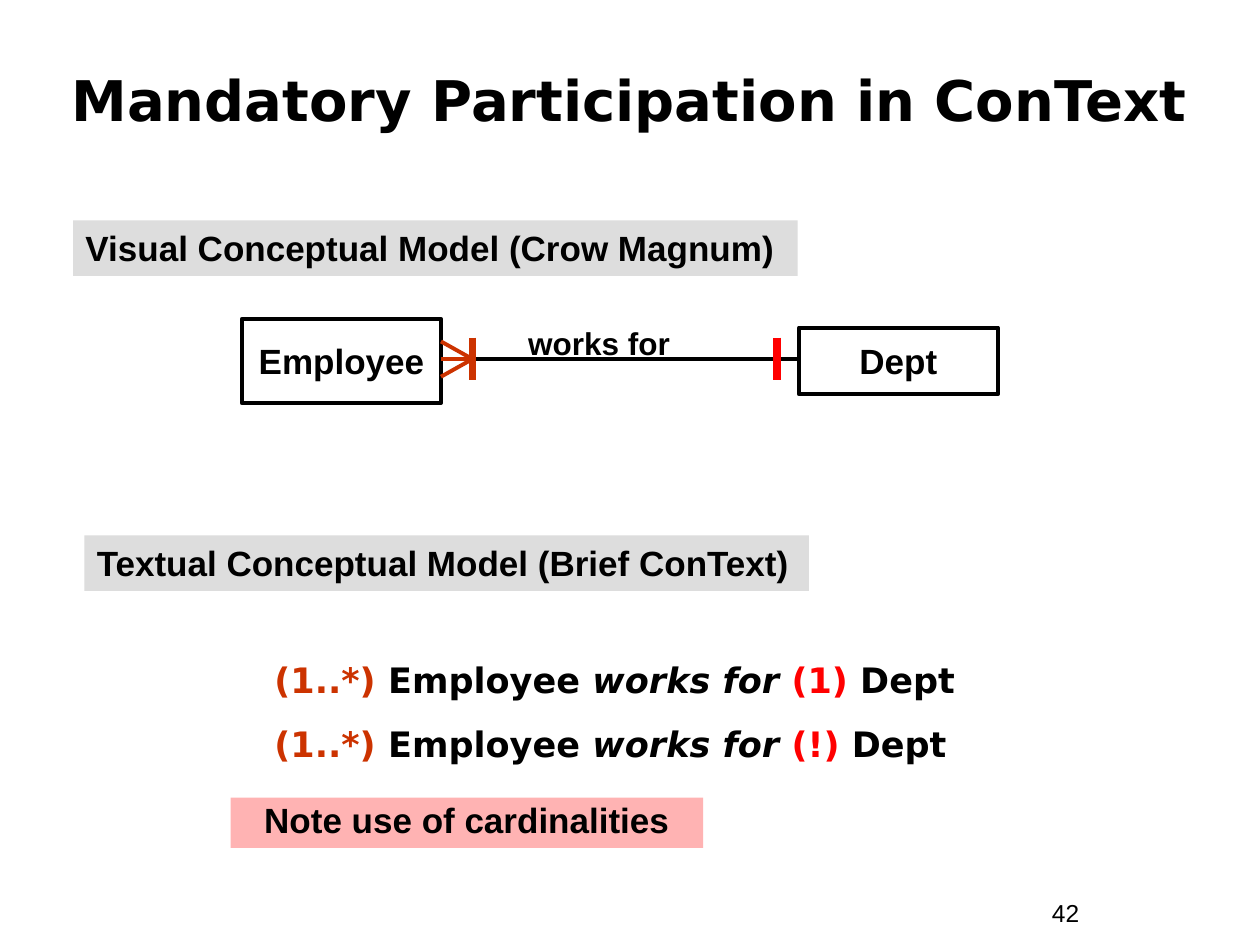
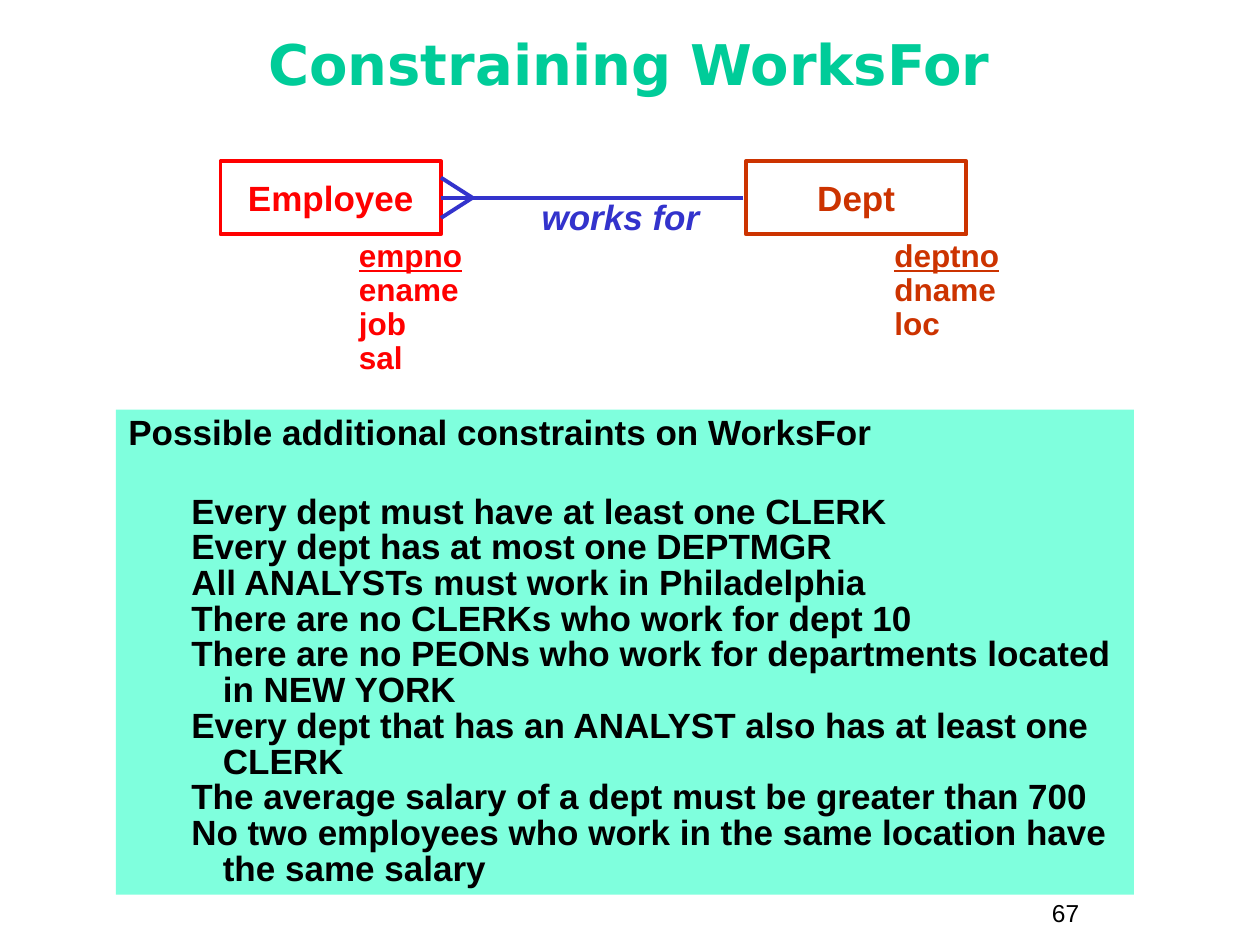
from lxml import etree
from pptx import Presentation
from pptx.dml.color import RGBColor
from pptx.enum.shapes import MSO_CONNECTOR, MSO_SHAPE
from pptx.enum.text import MSO_ANCHOR, PP_ALIGN
from pptx.oxml.ns import qn
from pptx.util import Inches, Pt

RECTANGLE = MSO_SHAPE.RECTANGLE
STRAIGHT = MSO_CONNECTOR.STRAIGHT
TOP, MIDDLE = MSO_ANCHOR.TOP, MSO_ANCHOR.MIDDLE
LEFT, CENTER = PP_ALIGN.LEFT, PP_ALIGN.CENTER

COLORS = {
    "black": "000000",
    "red": "FF0000",
    "rust": "CC3300",
    "blue": "3333CC",
    "green": "00CC99",
    "grey band": "DDDDDD",
    "pink band": "FFB3B3",
    "mint band": "7FFFDD",
}
BODY_FONT, TITLE_FONT = "Arial", "DejaVu Sans"
LINE_WIDTH, BAR_WIDTH = 2.25, 4.5
FOOT_LENGTH = 0.25

CONTEXT_CARDINALITIES = ["(1)", "(!)"]
CONSTRAINTS = [
    "Every dept must have at least one CLERK",
    "Every dept has at most one DEPTMGR",
    "All ANALYSTs must work in Philadelphia",
    "There are no CLERKs who work for dept 10",
    "There are no PEONs who work for departments located in NEW YORK",
    "Every dept that has an ANALYST also has at least one CLERK",
    "The average salary of a dept must be greater than 700",
    "No two employees who work in the same location have the same salary",
]


def rgb(color):
    return RGBColor.from_string(COLORS[color])


def style(paragraph, color="black", size=20, font=BODY_FONT, bold=True,
          italic=False, align=LEFT, spacing=1.0):
    paragraph.alignment = align
    paragraph.line_spacing = spacing
    paragraph.font.name = font
    paragraph.font.size = Pt(size)
    paragraph.font.bold = bold
    paragraph.font.italic = italic
    if color:
        paragraph.font.color.rgb = rgb(color)


def add_text(slide, box, lines, anchor=TOP, **text_style):
    """Add a text box with one paragraph for each line."""
    frame = slide.shapes.add_textbox(*map(Inches, box)).text_frame
    fill_frame(frame, lines, anchor, **text_style)
    return frame


def fill_frame(frame, lines, anchor=TOP, **text_style):
    frame.word_wrap = True
    frame.vertical_anchor = anchor
    for index, line in enumerate(lines):
        paragraph = frame.paragraphs[0] if index == 0 else frame.add_paragraph()
        paragraph.text = line
        style(paragraph, **text_style)


def add_rectangle(slide, box, fill=None, outline=None):
    shape = slide.shapes.add_shape(RECTANGLE, *map(Inches, box))
    shape.shadow.inherit = False
    if fill:
        shape.fill.solid()
        shape.fill.fore_color.rgb = rgb(fill)
    else:
        shape.fill.background()
    if outline:
        shape.line.color.rgb = rgb(outline)
        shape.line.width = Pt(LINE_WIDTH)
    else:
        shape.line.fill.background()
    return shape


def add_band(slide, box, text, fill, **text_style):
    frame = add_rectangle(slide, box, fill=fill).text_frame
    fill_frame(frame, [text], **text_style)
    return frame


def add_entity(slide, box, name, color):
    frame = add_rectangle(slide, box, outline=color).text_frame
    fill_frame(frame, [name], MIDDLE, color=color, align=CENTER)


def add_line(slide, start, end, color, width=LINE_WIDTH):
    connector = slide.shapes.add_connector(STRAIGHT, *map(Inches, (*start, *end)))
    connector.line.color.rgb = rgb(color)
    connector.line.width = Pt(width)
    etree.SubElement(connector._element.spPr, qn("a:effectLst"))


def add_bar(slide, x, y, color):
    """Upright bar that marks mandatory participation."""
    add_line(slide, (x, y - 0.17), (x, y + 0.17), color, BAR_WIDTH)


def add_relationship(slide, left, right, y, color, foot_color, foot_half):
    """Line between two entities, with a crow's foot at its left end."""
    tip = (left + FOOT_LENGTH, y)
    add_line(slide, (right, y), tip, color)
    for offset in (-foot_half, 0, foot_half):
        add_line(slide, tip, (left, y + offset), foot_color)


def add_frame(presentation, title, box, number, color="black", spacing=1.0):
    """Blank slide with the title and page number."""
    slide = presentation.slides.add_slide(presentation.slide_layouts[6])
    add_text(slide, (8.25, 7.08, 0.92, 0.34), [number], size=14, bold=False)
    add_text(slide, box, [title], MIDDLE, color=color, size=32,
             font=TITLE_FONT, align=CENTER, spacing=spacing)
    return slide


def add_visual_model(slide, left, top):
    line_y = top + 0.32
    add_entity(slide, (left, top, 1.58, 0.67), "Employee", "black")
    add_entity(slide, (left + 4.42, top + 0.07, 1.58, 0.53), "Dept", "black")
    add_relationship(slide, left + 1.58, left + 4.42, line_y, "black", "rust", 0.14)
    add_bar(slide, left + 1.83, line_y, "rust")
    add_bar(slide, left + 4.25, line_y, "red")
    add_text(slide, (left + 2, top - 0.01, 1.67, 0.4), ["works for"],
             size=18, align=CENTER)


def add_context_sentences(slide, box):
    frame = add_text(slide, box, [""])
    for index, cardinality in enumerate(CONTEXT_CARDINALITIES):
        paragraph = frame.paragraphs[0] if index == 0 else frame.add_paragraph()
        style(paragraph, color=None, font=TITLE_FONT)
        if index:
            paragraph.space_before = Pt(12.5)
        parts = [("(1..*)", "rust"), (" Employee ", "black"),
                 ("works for ", "black"), (cardinality, "red"), (" Dept", "black")]
        for text, color in parts:
            run = paragraph.add_run()
            run.text = text
            run.font.color.rgb = rgb(color)
            run.font.italic = text == "works for "


def add_attributes(slide, box, names, color):
    """Attribute list with its key underlined."""
    frame = add_text(slide, box, names, color=color, size=18, spacing=0.9)
    frame.paragraphs[0].font.underline = True


def add_constraints(slide, box):
    frame = add_band(slide, box, "Possible additional constraints on WorksFor",
                     "mint band", spacing=0.9)
    frame.paragraphs[0].space_after = Pt(24)
    for constraint in CONSTRAINTS:
        paragraph = frame.add_paragraph()
        paragraph.text = constraint
        properties = paragraph._p.get_or_add_pPr()
        properties.set("marL", str(Inches(0.75)))
        properties.set("indent", str(Inches(-0.25)))
        style(paragraph, spacing=0.85)


def build_participation_slide(presentation):
    slide = add_frame(presentation, "Mandatory Participation in ConText",
                      (0.33, 0.33, 9.33, 0.92), "42")
    add_band(slide, (0.58, 1.75, 5.75, 0.44),
             "Visual Conceptual Model (Crow Magnum)", "grey band")
    add_visual_model(slide, 1.92, 2.53)
    add_band(slide, (0.67, 4.25, 5.75, 0.44),
             "Textual Conceptual Model (Brief ConText)", "grey band")
    add_context_sentences(slide, (2.08, 5.18, 5.91, 1.45))
    add_band(slide, (1.83, 6.33, 3.75, 0.4), "Note use of cardinalities",
             "pink band", align=CENTER, spacing=0.9)


def build_constraints_slide(presentation):
    slide = add_frame(presentation, "Constraining WorksFor",
                      (0.33, 0.25, 9.33, 0.58), "67", "green", 0.85)
    # Entities and their attributes
    entities = [
        ("Employee", 1.75, "red", 2.75, ["empno", "ename", "job", "sal"]),
        ("Dept", 5.92, "rust", 7, ["deptno", "dname", "loc"]),
    ]
    for name, left, color, attributes_left, attributes in entities:
        add_entity(slide, (left, 1.28, 1.75, 0.58), name, color)
        add_attributes(slide, (attributes_left, 1.86, 1.67, 1.18), attributes, color)
    # Relationship
    add_relationship(slide, 3.5, 5.9, 1.57, "blue", "blue", 0.16)
    add_text(slide, (4.09, 1.5, 1.67, 0.44), ["works for"], color="blue",
             italic=True, align=CENTER)
    add_constraints(slide, (0.92, 3.25, 8.08, 3.85))


def main():
    presentation = Presentation()
    presentation.slide_width = Inches(10)
    presentation.slide_height = Inches(7.5)
    build_participation_slide(presentation)
    build_constraints_slide(presentation)
    presentation.save("out.pptx")


if __name__ == "__main__":
    main()
